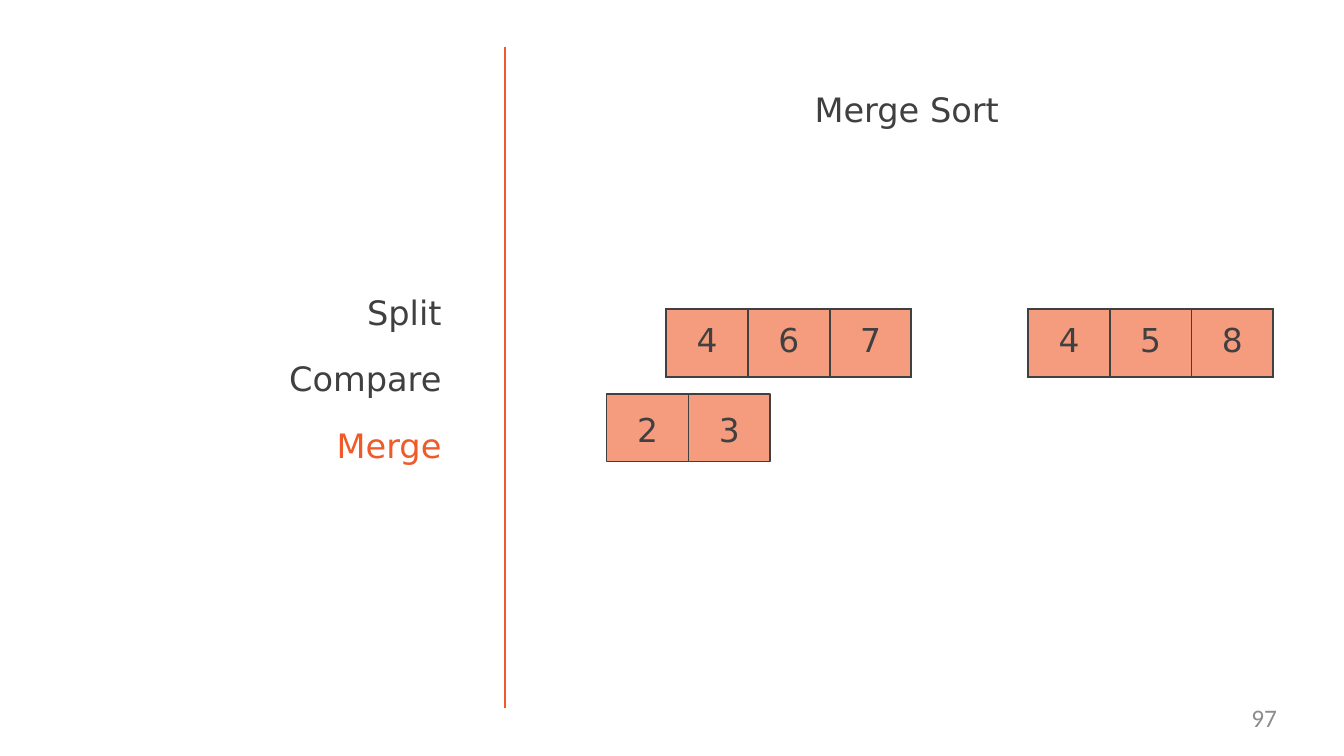
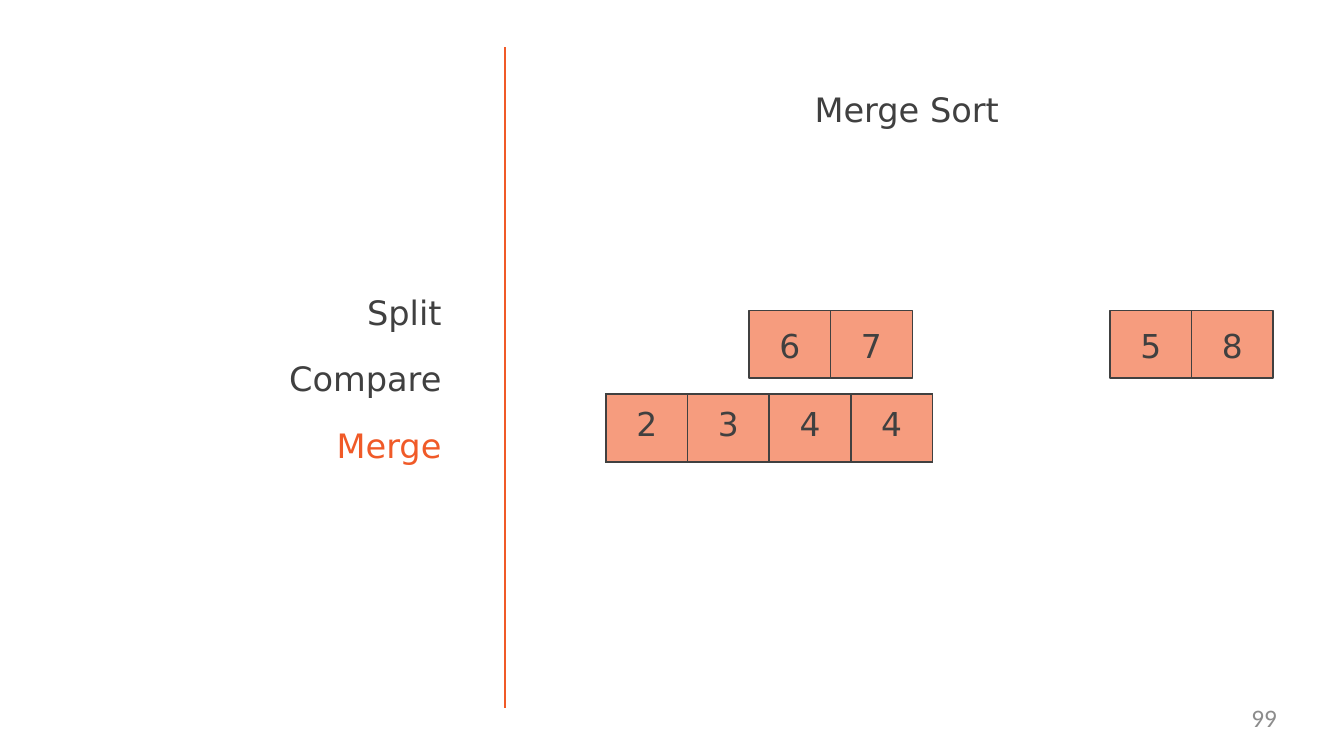
from dataclasses import dataclass

from lxml import etree
from pptx import Presentation
from pptx.dml.color import RGBColor
from pptx.enum import shapes, text
from pptx.oxml import ns
from pptx.slide import Slide
from pptx.text.text import TextFrame
from pptx.util import Pt


@dataclass(frozen=True)
class Theme:
    ink: str = "404040"
    hot: str = "F05A28"
    fill: str = "F69C7E"
    pale: str = "8C8C8C"
    font: str = "DejaVu Sans"
    plain: str = "Calibri"
    head: float = 24
    digit: float = 23.5
    page: float = 18


@dataclass(frozen=True)
class Strip:
    left: float
    top: float
    digits: str


@dataclass(frozen=True)
class Step:
    page: str
    tables: tuple[Strip, ...]
    loose: tuple[Strip, ...]


THEME = Theme()
WIDE, HIGH = 58.32, 48.24
RIGHT, CENTER, LEFT = text.PP_ALIGN.RIGHT, text.PP_ALIGN.CENTER, text.PP_ALIGN.LEFT
STAGES = ("Split", "Compare", "Merge")
STEPS = (
    Step("97",
         (Strip(476, 221, "467"), Strip(734.4, 221, "458")),
         (Strip(433.4, 281.6, "23"),)),
    Step("99",
         (Strip(432.8, 281.5, "2344"),),
         (Strip(535, 221.8, "67"), Strip(792.8, 221.8, "58"))),
)


def tint(code: str) -> RGBColor:
    return RGBColor.from_string(code)


def write(frame: TextFrame, words: str, *, size: float, font: str = THEME.font,
          color: str = THEME.ink, align: text.PP_ALIGN = CENTER, top: float = 0,
          gap: float = 0, indent: float = 0, hot: str = "") -> None:
    frame.word_wrap = True
    frame.auto_size = text.MSO_AUTO_SIZE.NONE
    frame.vertical_anchor = text.MSO_ANCHOR.TOP
    frame.margin_left = frame.margin_right = frame.margin_bottom = 0
    frame.margin_top = Pt(top)
    frame.text = words
    for index, para in enumerate(frame.paragraphs):
        props = para._p.get_or_add_pPr()
        props.set("marL", str(Pt(indent)))
        props.set("indent", "0")
        etree.SubElement(props, ns.qn("a:buNone"))
        para.alignment = align
        para.line_spacing = 1.0
        para.space_before = Pt(gap if index else 0)
        para.space_after = Pt(0)
        for run in para.runs:
            run.font.size = Pt(size)
            run.font.name = font
            run.font.color.rgb = tint(hot if hot and run.text == STAGES[-1] else color)


def place(item, left: float, top: float, width: float, height: float) -> None:
    item.left, item.top = Pt(left), Pt(top)
    item.width, item.height = Pt(width), Pt(height)


def edge(cell) -> None:
    props = cell._tc.get_or_add_tcPr()
    for side in ("lnL", "lnR", "lnT", "lnB"):
        line = etree.SubElement(props, ns.qn(f"a:{side}"), w=str(Pt(1.5)))
        solid = etree.SubElement(line, ns.qn("a:solidFill"))
        etree.SubElement(solid, ns.qn("a:srgbClr"), val=THEME.ink)


def draw_table(slide: Slide, strip: Strip) -> None:
    count = len(strip.digits)
    table = slide.shapes.add_table(1, count, Pt(strip.left), Pt(strip.top),
                                   Pt(WIDE * count), Pt(HIGH)).table
    table.first_row = table.horz_banding = False
    for column, digit in zip(table.columns, strip.digits):
        column.width = Pt(WIDE)
    for cell, digit in zip(table.iter_cells(), strip.digits):
        edge(cell)
        cell.fill.solid()
        cell.fill.fore_color.rgb = tint(THEME.fill)
        write(cell.text_frame, digit, size=THEME.digit)
        cell.margin_left = cell.margin_right = cell.margin_bottom = 0
        cell.margin_top = Pt(8.64)


def draw_loose(slide: Slide, strip: Strip) -> None:
    for index, digit in enumerate(strip.digits):
        box = slide.shapes.add_shape(
            shapes.MSO_SHAPE.RECTANGLE, Pt(strip.left + index * WIDE),
            Pt(strip.top), Pt(WIDE), Pt(HIGH))
        box.shadow.inherit = False
        box.fill.solid()
        box.fill.fore_color.rgb = tint(THEME.fill)
        box.line.color.rgb = tint(THEME.ink)
        box.line.width = Pt(1)
        write(box.text_frame, digit, size=THEME.digit, top=11)


def draw_frame(slide: Slide, page: str) -> None:
    title, body = slide.shapes.title, slide.placeholders[1]
    place(title, 243.4, 61.2, 473, 31)
    write(title.text_frame, "Merge Sort", size=THEME.head, align=LEFT,
          top=2, indent=338.4)
    place(body, 203, 206.6, 112.4, 124.6)
    write(body.text_frame, "\n".join(STAGES), size=THEME.head, align=RIGHT,
          top=2, gap=18.5, hot=THEME.hot)
    rule = slide.shapes.add_connector(shapes.MSO_CONNECTOR.STRAIGHT,
                                      Pt(360.7), Pt(33.8), Pt(360.7), Pt(505.4))
    rule.line.color.rgb = tint(THEME.hot)
    rule.line.width = Pt(2)
    etree.SubElement(rule._element.spPr, ns.qn("a:effectLst"))
    label = slide.shapes.add_textbox(Pt(691.2), Pt(501.8), Pt(221), Pt(27.4))
    write(label.text_frame, page, size=THEME.page, font=THEME.plain,
          color=THEME.pale, align=RIGHT)


def main() -> None:
    deck = Presentation()
    deck.slide_width, deck.slide_height = Pt(960), Pt(540)
    for step in STEPS:
        slide = deck.slides.add_slide(deck.slide_layouts[1])
        draw_frame(slide, step.page)
        for strip in step.tables:
            draw_table(slide, strip)
        for strip in step.loose:
            draw_loose(slide, strip)
    deck.save("out.pptx")


if __name__ == "__main__":
    main()
